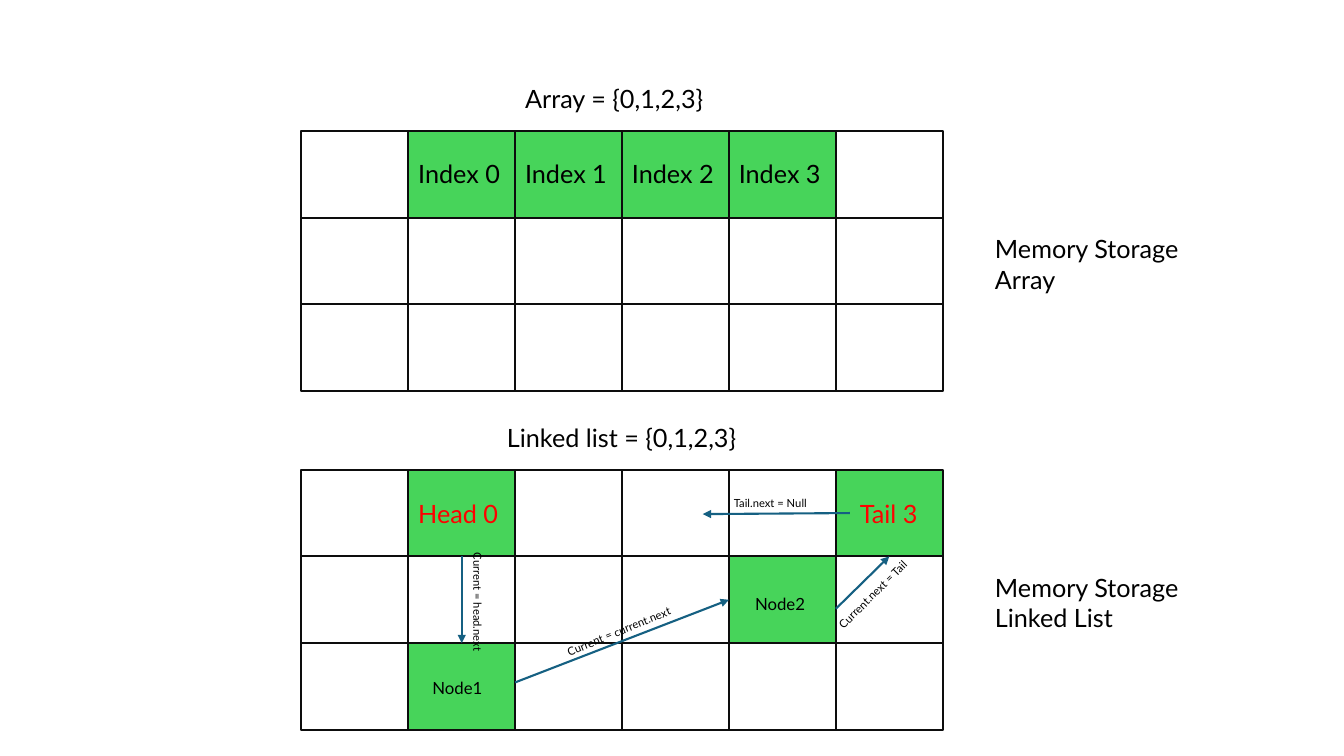
from lxml import etree
from pptx import Presentation
from pptx.dml.color import RGBColor
from pptx.enum.shapes import MSO_CONNECTOR, MSO_SHAPE
from pptx.enum.text import MSO_AUTO_SIZE
from pptx.oxml.ns import qn
from pptx.util import Inches, Pt

RECTANGLE = MSO_SHAPE.RECTANGLE
STRAIGHT = MSO_CONNECTOR.STRAIGHT
GROW = MSO_AUTO_SIZE.SHAPE_TO_FIT_TEXT
TOP, LEFT, BOTTOM = 0, 1, 2

COLORS = {
    "used": "47D45A",
    "border": "0D0D0D",
    "arrow": "156082",
    "text": "000000",
    "ends": "FF0000",
}
FONT = "Lato"
GRID_LEFT, CELL_WIDTH, CELL_HEIGHT = 2.99, 1.06, 0.86
ROWS, COLUMNS = 3, 6


def add_label(text, left, top, width, height, size=18, color="text", rotation=0):
    box = page.shapes.add_textbox(Inches(left), Inches(top), Inches(width), Inches(height))
    box.rotation = rotation
    frame = box.text_frame
    frame.word_wrap = True
    frame.auto_size = GROW
    span = frame.paragraphs[0].add_run()
    span.text = text
    span.font.name = FONT
    span.font.size = Pt(size)
    span.font.color.rgb = RGBColor.from_string(COLORS[color])


def add_arrow(start, end):
    arrow = page.shapes.add_connector(STRAIGHT, *[Inches(value) for value in start + end])
    arrow.line.color.rgb = RGBColor.from_string(COLORS["arrow"])
    arrow.line.width = Pt(1.5)
    etree.SubElement(arrow.line._get_or_add_ln(), qn("a:tailEnd"), type="triangle")
    etree.SubElement(arrow._element.spPr, qn("a:effectLst"))
    return arrow


deck = Presentation()
deck.slide_width = Inches(13.33)
deck.slide_height = Inches(7.5)
page = deck.slides.add_slide(deck.slide_layouts[6])

# Memory grids: top edge and the (row, column) cells in use
grids = {
    "array": (1.3, [(0, 1), (0, 2), (0, 3), (0, 4)]),
    "list": (4.66, [(0, 1), (2, 1), (1, 4), (0, 5)]),
}
cells = {}
for name, (grid_top, used) in grids.items():
    for row in range(ROWS):
        for column in range(COLUMNS):
            cell = page.shapes.add_shape(
                RECTANGLE,
                Inches(GRID_LEFT + column * CELL_WIDTH),
                Inches(grid_top + row * CELL_HEIGHT),
                Inches(CELL_WIDTH),
                Inches(CELL_HEIGHT),
            )
            cell.shadow.inherit = False
            cell.line.color.rgb = RGBColor.from_string(COLORS["border"])
            cell.line.width = Pt(1.5)
            if (row, column) in used:
                cell.fill.solid()
                cell.fill.fore_color.rgb = RGBColor.from_string(COLORS["used"])
            else:
                cell.fill.background()
            cells[name, row, column] = cell

# Captions
add_label("Array = {0,1,2,3}", 5.11, 0.78, 2.12, 0.4)
add_label("Memory Storage Array", 9.77, 2.27, 2.05, 0.71)
add_label("Linked list = {0,1,2,3}", 4.93, 4.14, 2.49, 0.4)
add_label("Memory Storage Linked List", 9.77, 5.63, 2.05, 0.71)

# Array indexes
for index in range(4):
    add_label(f"Index {index}", GRID_LEFT + (index + 1) * CELL_WIDTH, 1.52, CELL_WIDTH, 0.4)

# Linked list nodes
add_label("Head 0", 4.05, 4.89, 1.06, 0.4, color="ends")
add_label("Tail 3", 8.43, 4.89, 1.06, 0.4, color="ends")
add_label("Node1", 4.19, 6.67, 1.16, 0.3, size=12)
add_label("Node2", 7.39, 5.84, 1.16, 0.3, size=12)

# Pointers between nodes
head, node1 = cells["list", 0, 1], cells["list", 2, 1]
node2, tail = cells["list", 1, 4], cells["list", 0, 5]

head_to_node1 = add_arrow((4.58, 5.52), (4.58, 6.38))
head_to_node1.begin_connect(head, BOTTOM)
head_to_node1.end_connect(node1, TOP)

node1_to_node2 = add_arrow((5.11, 6.77), (7.23, 5.95))
node1_to_node2.end_connect(node2, LEFT)

node2_to_tail = add_arrow((8.29, 6.04), (8.83, 5.52))
node2_to_tail.end_connect(tail, BOTTOM)

add_arrow((8.43, 5.09), (6.97, 5.1))

# Pointer labels
add_label("Current = head.next", 4.14, 5.86, 1.19, 0.24, size=8, rotation=90)
add_label("Current = current.next", 5.49, 6.13, 1.38, 0.24, size=8, rotation=337.7)
add_label("Current.next = Tail", 8.07, 5.68, 1.38, 0.24, size=8, rotation=315.2)
add_label("Tail.next = Null", 7.18, 4.87, 1.05, 0.24, size=8)

deck.save("out.pptx")
